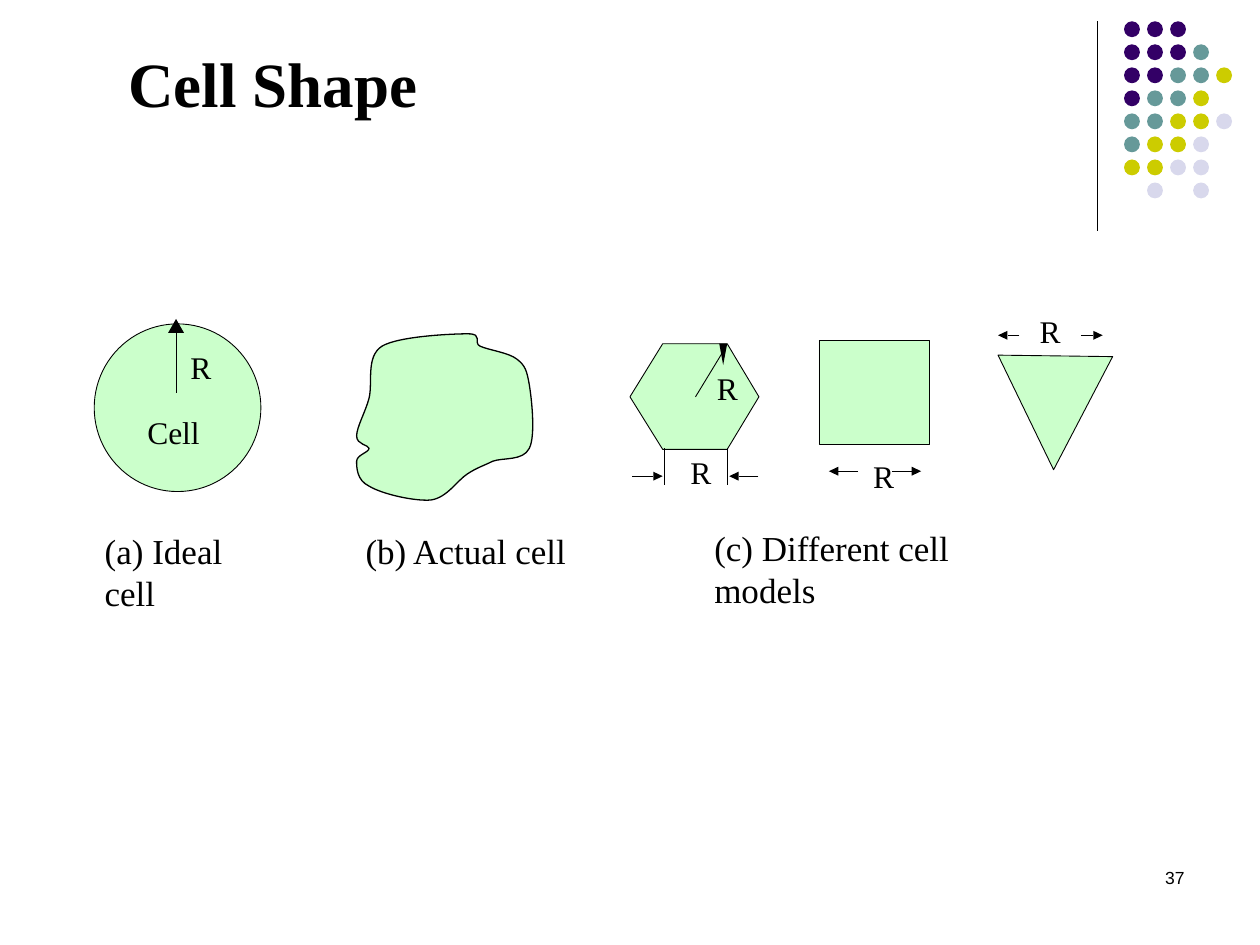
from lxml import etree
from pptx import Presentation
from pptx import util as u
from pptx.dml.color import RGBColor
from pptx.enum import shapes, text
from pptx.oxml import ns

BLACK = RGBColor(0x00, 0x00, 0x00)
CELL_GREEN = RGBColor(0x99, 0xFF, 0x99)
PURPLE = RGBColor(0x33, 0x00, 0x66)
TEAL = RGBColor(0x66, 0x99, 0x99)
OLIVE = RGBColor(0xCC, 0xCC, 0x00)
LILAC = RGBColor(0xD8, 0xD8, 0xEC)

SERIF = "Times New Roman"
TITLE = {"name": SERIF, "size": u.Pt(36), "bold": True}
LABEL = {"name": SERIF, "size": u.Pt(18)}
CAPTION = {"name": SERIF, "size": u.Pt(20)}
NUMBER = {"name": "Arial", "size": u.Pt(10)}
NO_INSETS = dict.fromkeys(
    ("margin_left", "margin_top", "margin_right", "margin_bottom"), 0)

DOT_COLORS = {"P": PURPLE, "T": TEAL, "O": OLIVE, "L": LILAC}
DOT_ROWS = ("PPP", "PPPT", "PPTTO", "PTTO", "TTOOL", "TOOL", "OOLL", " L L")

# Start point, then three points for each Bezier segment
ACTUAL_OUTLINE = (
    (2.24, 0),
    (1.91, 0), (0.84, 0.05), (0.51, 0.25),
    (0.18, 0.46), (0.33, 0.99), (0.25, 1.3),
    (0.18, 1.57), (0, 1.88), (0, 2.06),
    (0, 2.24), (0.25, 2.24), (0.25, 2.31),
    (0.25, 2.39), (0, 2.44), (0, 2.57),
    (0, 2.69), (0, 2.95), (0.25, 3.07),
    (0.51, 3.23), (1.17, 3.38), (1.5, 3.35),
    (1.83, 3.3), (2.03, 2.95), (2.24, 2.82),
    (2.44, 2.69), (2.54, 2.67), (2.74, 2.57),
    (2.95, 2.49), (3.35, 2.57), (3.48, 2.31),
    (3.61, 2.06), (3.53, 1.32), (3.48, 1.02),
    (3.43, 0.74), (3.4, 0.64), (3.23, 0.51),
    (3.07, 0.38), (2.67, 0.33), (2.49, 0.25),
    (2.34, 0.18), (2.57, 0), (2.24, 0),
)


def set_values(target, values):
    for name, value in values.items():
        setattr(target, name, value)


def add_text(page, box, words, font, frame_values=NO_INSETS, align=None):
    frame = page.shapes.add_textbox(*map(u.Cm, box)).text_frame
    set_values(frame, {"word_wrap": True, **frame_values})
    para = frame.paragraphs[0]
    para.alignment = align
    span = para.add_run()
    span.text = words
    set_values(span.font, font)
    span.font.color.rgb = BLACK


def add_label(page, left, top, words="R", width=0.6):
    add_text(page, (left, top, width, 0.76), words, LABEL)


def paint(shape, color, line_width=None):
    shape.shadow.inherit = False
    shape.fill.solid()
    shape.fill.fore_color.rgb = color
    if line_width is None:
        shape.line.fill.background()
    else:
        shape.line.color.rgb = BLACK
        shape.line.width = u.Pt(line_width)


def paint_cell(shape, line_width=0.5):
    """Half-transparent green with a thin black outline."""
    paint(shape, CELL_GREEN, line_width)
    color = shape.element.spPr.find(ns.qn("a:solidFill"))[0]
    etree.SubElement(color, ns.qn("a:alpha"), val="50000")


def add_line(parent, start, end, width=0.5):
    line = parent.shapes.add_connector(
        shapes.MSO_CONNECTOR.STRAIGHT, *map(u.Cm, (*start, *end)))
    line.line.color.rgb = BLACK
    line.line.width = u.Pt(width)
    etree.SubElement(line.element.spPr, ns.qn("a:effectLst"))


def add_polygon(parent, left, top, points):
    corners = [(u.Cm(left + x), u.Cm(top + y)) for x, y in points]
    builder = parent.shapes.build_freeform(*corners[0])
    builder.add_line_segments(corners[1:], close=True)
    return builder.convert_to_shape()


def curve_segments(shape):
    """Turn each three straight segments of a freeform into one Bezier curve."""
    lines = list(shape.element.iter(ns.qn("a:lnTo")))
    for first in range(0, len(lines), 3):
        curve = etree.Element(ns.qn("a:cubicBezTo"))
        lines[first].addprevious(curve)
        for line in lines[first:first + 3]:
            curve.append(line[0])
            line.getparent().remove(line)


def add_arrow(page, start, neck, head):
    group = page.shapes.add_group_shape()
    add_line(group, start, neck)
    paint(add_polygon(group, 0, 0, head), BLACK)


def add_side_arrow(page, start, tip, y):
    neck = tip + (0.19 if start > tip else -0.19)
    head = ((neck, y - 0.09), (tip, y), (neck, y + 0.09))
    add_arrow(page, (start, y), (neck, y), head)


def draw_corner(page, left, top):
    """Vertical rule with the dot pattern to its right."""
    add_line(page, (left, top), (left, top + 4.22), 0.75)
    pitch = 3.25 / 7
    for row, codes in enumerate(DOT_ROWS):
        for column, code in enumerate(codes):
            if code in DOT_COLORS:
                place = (left + 0.54 + column * pitch, top + row * pitch, 0.32, 0.32)
                dot = page.shapes.add_shape(shapes.MSO_SHAPE.OVAL, *map(u.Cm, place))
                paint(dot, DOT_COLORS[code])


def draw_ideal_cell(page, left, top):
    circle = page.shapes.add_shape(
        shapes.MSO_SHAPE.OVAL, *map(u.Cm, (left, top + 0.1, 3.36, 3.38)))
    paint_cell(circle)
    add_label(page, left + 1.07, top + 1.9, "Cell", 1.3)
    x = left + 1.65
    add_arrow(page, (x, top + 1.49), (x, top + 0.28),
              ((x + 0.16, top + 0.28), (x, top), (x - 0.16, top + 0.28)))
    add_label(page, left + 1.94, top + 0.58)
    add_text(page, (left + 0.21, top + 4.24, 3.4, 0.84), "(a) Ideal cell", CAPTION)


def draw_actual_cell(page, left, top):
    outline = add_polygon(page, left, top, ACTUAL_OUTLINE)
    curve_segments(outline)
    paint_cell(outline, 0.75)
    add_text(page, (left + 0.18, top + 3.94, 4.3, 0.84), "(b) Actual cell", CAPTION)


def draw_hexagon(page, left, top):
    paint_cell(add_polygon(page, left, top, (
        (0.66, 0), (0, 1.07), (0.66, 2.13), (1.96, 2.13), (2.6, 1.07), (1.96, 0))))
    add_label(page, left + 1.75, top + 0.51)
    add_label(page, left + 1.22, top + 2.21)
    for start, tip in ((0.05, 0.66), (2.59, 2.0)):
        add_side_arrow(page, left + start, left + tip, top + 2.67)
    for x in (left + 0.69, left + 1.96):
        add_line(page, (x, top + 2.11), (x, top + 2.85))
    add_arrow(page, (left + 1.32, top + 1.07), (left + 1.85, top + 0.2),
              ((left + 1.8, top), (left + 1.96, top), (left + 1.88, top + 0.43)))


def draw_square(page, left, top):
    square = page.shapes.add_shape(
        shapes.MSO_SHAPE.RECTANGLE, *map(u.Cm, (left, top, 2.23, 2.11)))
    paint_cell(square)
    add_label(page, left + 1.09, top + 2.36)
    for start, tip in ((0.79, 0.2), (1.47, 2.06)):
        add_side_arrow(page, left + start, left + tip, top + 2.64)


def draw_triangle(page, left, top):
    paint_cell(add_polygon(page, left, top, ((1.12, 3.17), (2.31, 0.89), (0, 0.86))))
    add_label(page, left + 0.84, top)
    for start, tip in ((0.43, 0), (1.67, 2.11)):
        add_side_arrow(page, left + start, left + tip, top + 0.46)


def draw_cell_models(page, left, top):
    draw_hexagon(page, left, top + 0.63)
    draw_square(page, left + 3.81, top + 0.56)
    draw_triangle(page, left + 7.42, top)
    add_text(page, (left + 1.7, top + 4.32, 6.7, 0.84),
             "(c) Different cell models", CAPTION)


def main():
    deck = Presentation()
    set_values(deck, {"slide_width": u.Cm(25.4), "slide_height": u.Cm(19.05)})
    page = deck.slides.add_slide(deck.slide_layouts[6])
    draw_corner(page, 22.12, 0.43)
    add_text(page, (2.34, 0.43, 21.59, 2.12), "Cell Shape", TITLE,
             {"vertical_anchor": text.MSO_ANCHOR.BOTTOM})
    add_text(page, (18.21, 17.35, 5.92, 1.27), "37", NUMBER, {}, text.PP_ALIGN.RIGHT)
    draw_ideal_cell(page, 1.9, 6.43)
    draw_actual_cell(page, 7.19, 6.73)
    draw_cell_models(page, 12.7, 6.3)
    deck.save("out.pptx")


if __name__ == "__main__":
    main()
